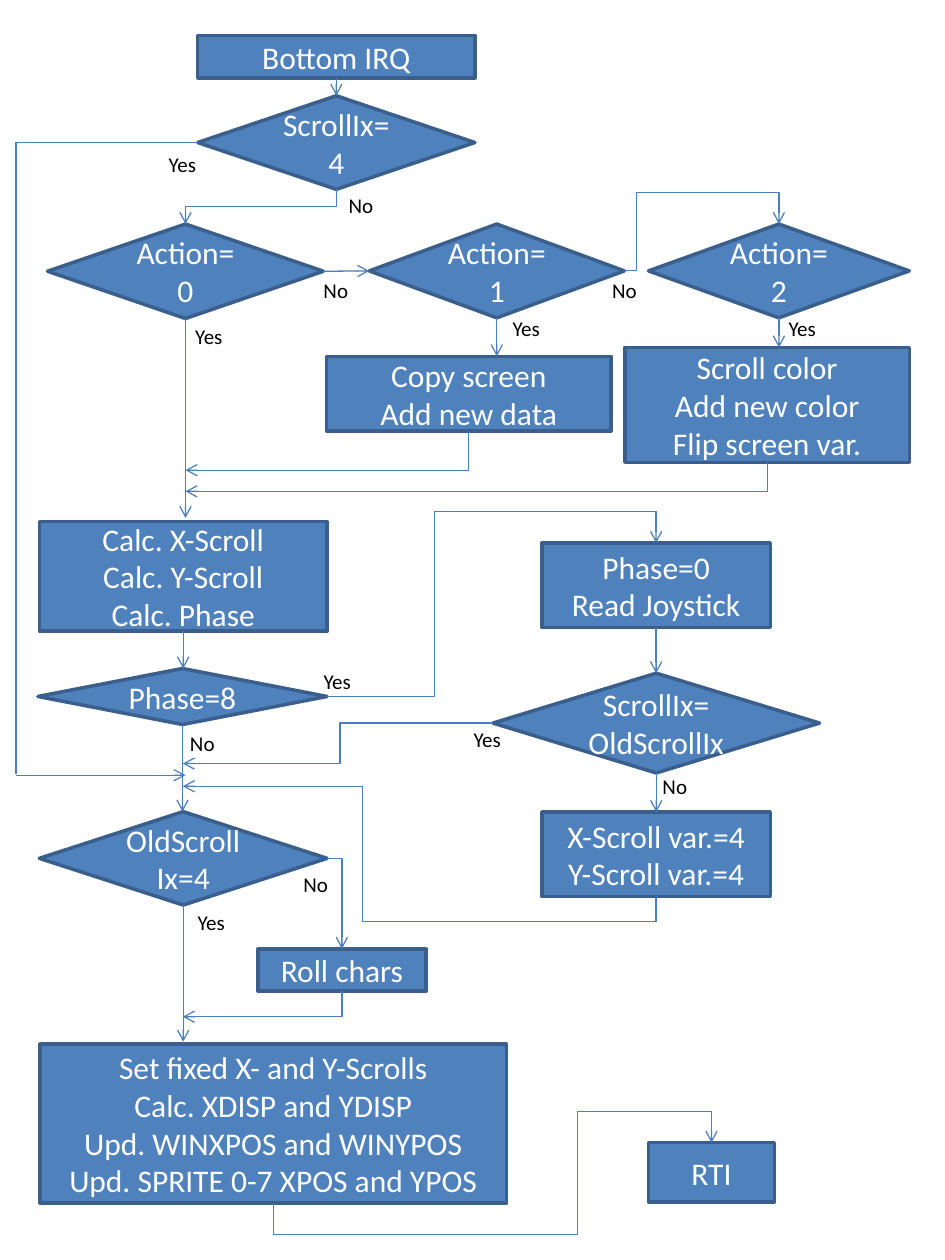
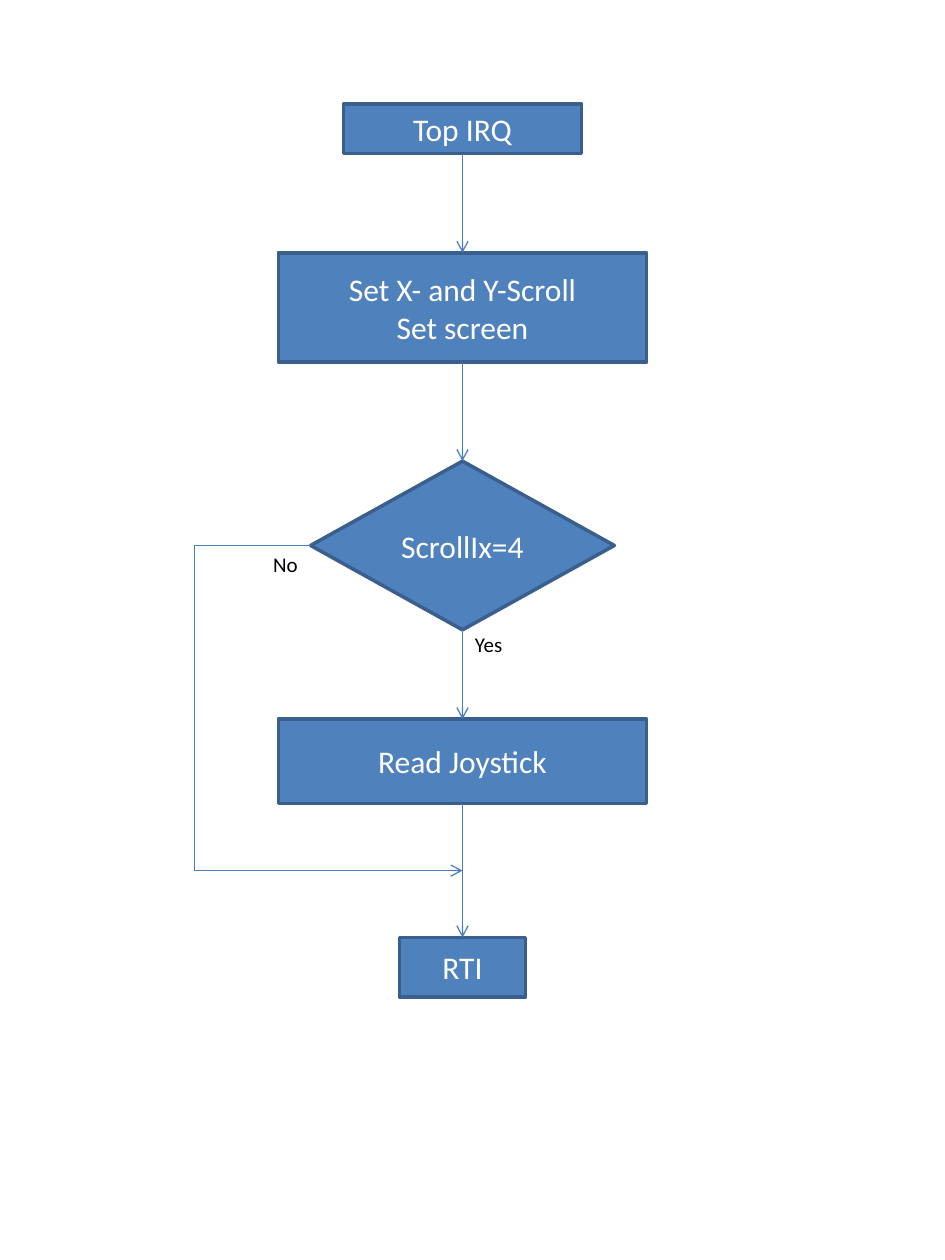
from lxml.etree import SubElement
from pptx import Presentation
from pptx.dml.color import RGBColor
from pptx.enum.shapes import MSO_CONNECTOR as CONN, MSO_SHAPE as SHAPE
from pptx.enum.text import MSO_ANCHOR as ANCHOR, MSO_AUTO_SIZE as FIT, PP_ALIGN as ALIGN
from pptx.oxml.ns import qn
from pptx.util import Pt

COLORS = {"fill": "4F81BD", "border": "3A5F8C", "link": "4B7EBC",
          "node_text": "FFFFFF", "label_text": "000000"}
NODE_FONT = {"name": "Calibri", "size": Pt(18)}
LABEL_FONT = {"name": "Calibri", "size": Pt(12)}
LABEL_WIDTH = {"No": 28.8, "Yes": 30.2}


def rgb(key):
    return RGBColor.from_string(COLORS[key])


def site(s, side):
    """Connection point of a shape, in points."""
    x, y, w, h = s.left.pt, s.top.pt, s.width.pt, s.height.pt
    return {"top": (x + w / 2, y), "bottom": (x + w / 2, y + h),
            "left": (x, y + h / 2), "right": (x + w, y + h / 2)}[side]


class Flowchart:
    def __init__(self, prs):
        self.prs = prs
        self.shapes = None

    def new_slide(self):
        self.shapes = self.prs.slides.add_slide(self.prs.slide_layouts[6]).shapes

    def set_text(self, tf, text, font, color, align):
        tf.text = text
        for p in tf.paragraphs:
            p.alignment = align
            for r in p.runs:
                for name, value in font.items():
                    setattr(r.font, name, value)
                r.font.color.rgb = rgb(color)

    def node(self, kind, text, x, y, w, h):
        s = self.shapes.add_shape(kind, Pt(x), Pt(y), Pt(w), Pt(h))
        s.shadow.inherit = False
        s.fill.solid()
        s.fill.fore_color.rgb = rgb("fill")
        s.line.color.rgb = rgb("border")
        s.line.width = Pt(2)
        s.text_frame.vertical_anchor = ANCHOR.MIDDLE
        self.set_text(s.text_frame, text, NODE_FONT, "node_text", ALIGN.CENTER)
        return s

    def process(self, text, *box):
        return self.node(SHAPE.FLOWCHART_PROCESS, text, *box)

    def decision(self, text, *box):
        return self.node(SHAPE.FLOWCHART_DECISION, text, *box)

    def label(self, text, x, y):
        s = self.shapes.add_textbox(Pt(x), Pt(y), Pt(LABEL_WIDTH[text]), Pt(21.6))
        tf = s.text_frame
        tf.word_wrap = False
        tf.auto_size = FIT.SHAPE_TO_FIT_TEXT
        self.set_text(tf, text, LABEL_FONT, "label_text", ALIGN.LEFT)

    def style_link(self, c, head):
        c.line.color.rgb = rgb("link")
        c.line.width = Pt(0.75)
        sp_pr = c._element.spPr
        if head:
            SubElement(sp_pr.find(qn("a:ln")), qn("a:tailEnd"), type="arrow")
        SubElement(sp_pr, qn("a:effectLst"))

    def arrow(self, start, end):
        c = self.shapes.add_connector(CONN.STRAIGHT, *map(Pt, start + end))
        self.style_link(c, True)

    def drop(self, s, y):
        """Straight arrow from the bottom of a shape down to y."""
        start = site(s, "bottom")
        self.arrow(start, (start[0], y))

    def bend(self, s, side, end, *turns, head=True):
        """Elbow link; turns are x and y values in turn, first along the side's axis."""
        start = site(s, side)
        first = 1 if side in ("top", "bottom") else 0
        delta = [end[0] - start[0], end[1] - start[1]]
        w, h = abs(delta[first]), abs(delta[1 - first])
        mid_x, mid_y = start[0] + delta[0] / 2, start[1] + delta[1] / 2
        c = self.shapes.add_connector(CONN.ELBOW, 0, 0, 0, 0)
        c.left, c.top, c.width, c.height = map(Pt, (mid_x - w / 2, mid_y - h / 2, w, h))

        # A link that starts vertically is a horizontal one turned by 90 degrees
        xfrm = c._element.spPr.find(qn("a:xfrm"))
        flip_v = delta[0] > 0 if first else delta[1] < 0
        for name, value in {"rot": 5400000 * first, "flipH": int(delta[first] < 0),
                            "flipV": int(flip_v)}.items():
            xfrm.set(name, str(value))
        geom = c._element.spPr.find(qn("a:prstGeom"))
        geom.set("prst", f"bentConnector{len(turns) + 2}")
        for i, turn in enumerate(turns):
            axis = (first + i) % 2
            ratio = round((turn - start[axis]) / delta[axis] * 100000)
            SubElement(geom.find(qn("a:avLst")), qn("a:gd"),
                       name=f"adj{i + 1}", fmla=f"val {ratio}")
        self.style_link(c, head)


prs = Presentation()
prs.slide_width, prs.slide_height = Pt(540), Pt(720)
chart = Flowchart(prs)

# Slide 1: bottom interrupt
chart.new_slide()
irq = chart.process("Bottom IRQ", 113, 20.2, 158.4, 24.3)
scroll = chart.decision("ScrollIx=4", 113, 54.7, 158.4, 53.5)
action0 = chart.decision("Action=0", 27.2, 128, 157.6, 54)
action1 = chart.decision("Action=1", 211, 128, 145.8, 53.6)
action2 = chart.decision("Action=2", 370.6, 128, 149, 53.6)
copy_screen = chart.process("Copy screen\nAdd new data", 186.5, 203.6, 162.8, 42.7)
scroll_color = chart.process("Scroll color\nAdd new color\nFlip screen var.",
                             357, 198.6, 162.8, 65.6)
calc = chart.process("Calc. X-Scroll\nCalc. Y-Scroll\nCalc. Phase", 22.5, 298, 164.4, 62.7)
phase8 = chart.decision("Phase=8", 21.7, 382, 165.2, 32)
phase0 = chart.process("Phase=0\nRead Joystick", 309.7, 310.3, 130.5, 48.4)
same_index = chart.decision("ScrollIx=\nOldScrollIx", 281.7, 384.7, 186.6, 57)
reset = chart.process("X-Scroll var.=4\nY-Scroll var.=4", 309.7, 464, 130.5, 48.4)
old_index = chart.decision("OldScrollIx=4", 22.5, 463.8, 164.4, 53.4)
roll = chart.process("Roll chars", 147.4, 542.2, 96, 24.2)
update = chart.process("Set fixed X- and Y-Scrolls\nCalc. XDISP and YDISP\n"
                       "Upd. WINXPOS and WINYPOS\nUpd. SPRITE 0-7 XPOS and YPOS",
                       23, 596.7, 266.4, 90.8)
rti = chart.process("RTI", 370.6, 653, 72, 34)

# Straight steps down, and the step between the first two actions
for upper, lower in ((irq, scroll), (action1, copy_screen), (action2, scroll_color),
                     (calc, phase8), (phase0, same_index), (same_index, reset),
                     (phase8, old_index)):
    chart.drop(upper, site(lower, "top")[1])
chart.drop(action0, 296)
chart.drop(old_index, 595.3)
chart.arrow(site(action0, "right"), site(action1, "left"))

# Bent links between shapes
chart.bend(scroll, "bottom", site(action0, "top"), 118.1)
chart.bend(action1, "right", site(action2, "top"), 363.8, 110)
chart.bend(phase8, "right", site(phase0, "top"), 248.2, 292.4)
chart.bend(old_index, "right", site(roll, "top"))
chart.bend(update, "bottom", site(rti, "top"), 705.5, 330, 635)

# Links that join the left column
chart.bend(copy_screen, "bottom", (106, 268.7))
chart.bend(scroll_color, "bottom", (106, 280.8))
chart.bend(same_index, "left", (104.5, 436.3), 194.4)
chart.bend(reset, "bottom", (104.5, 449.3), 526.4, 207.2)
chart.bend(roll, "bottom", (104.5, 581))
chart.bend(scroll, "left", (9.2, 442.1), head=False)
chart.arrow((9.2, 443), (106, 443))

# Answers
for text, spots in {
    "No": ((192.2, 106.6), (177.8, 155), (342.7, 155.3), (101.5, 414),
           (166.3, 494.6), (371.5, 438.5)),
    "Yes": ((89.3, 82.8), (104.4, 181.4), (285.8, 176.9), (443.5, 176.9),
            (177.8, 378.7), (105.8, 516.2), (263.5, 411.8)),
}.items():
    for spot in spots:
        chart.label(text, *spot)

# Slide 2: top interrupt, one centred column
chart.new_slide()
AXIS = 264.3
steps = [make(text, AXIS - w / 2, y, w, h) for make, text, y, w, h in (
    (chart.process, "Top IRQ", 59.5, 136, 28.3),
    (chart.process, "Set X- and Y-Scroll\nSet screen", 144.5, 210.5, 62.4),
    (chart.decision, "ScrollIx=4", 263.5, 173.6, 96.4),
    (chart.process, "Read Joystick", 411, 210.5, 48.2),
    (chart.process, "RTI", 535.7, 72, 34))]
for upper, lower in zip(steps, steps[1:]):
    chart.drop(upper, site(lower, "top")[1])

# Bypass of the joystick step
chart.bend(steps[2], "left", (111.3, 497.5), head=False)
chart.arrow((111.3, 497.5), (AXIS, 497.5))
chart.label("No", 149, 311.8)
chart.label("Yes", AXIS, 357.3)

prs.save("out.pptx")
